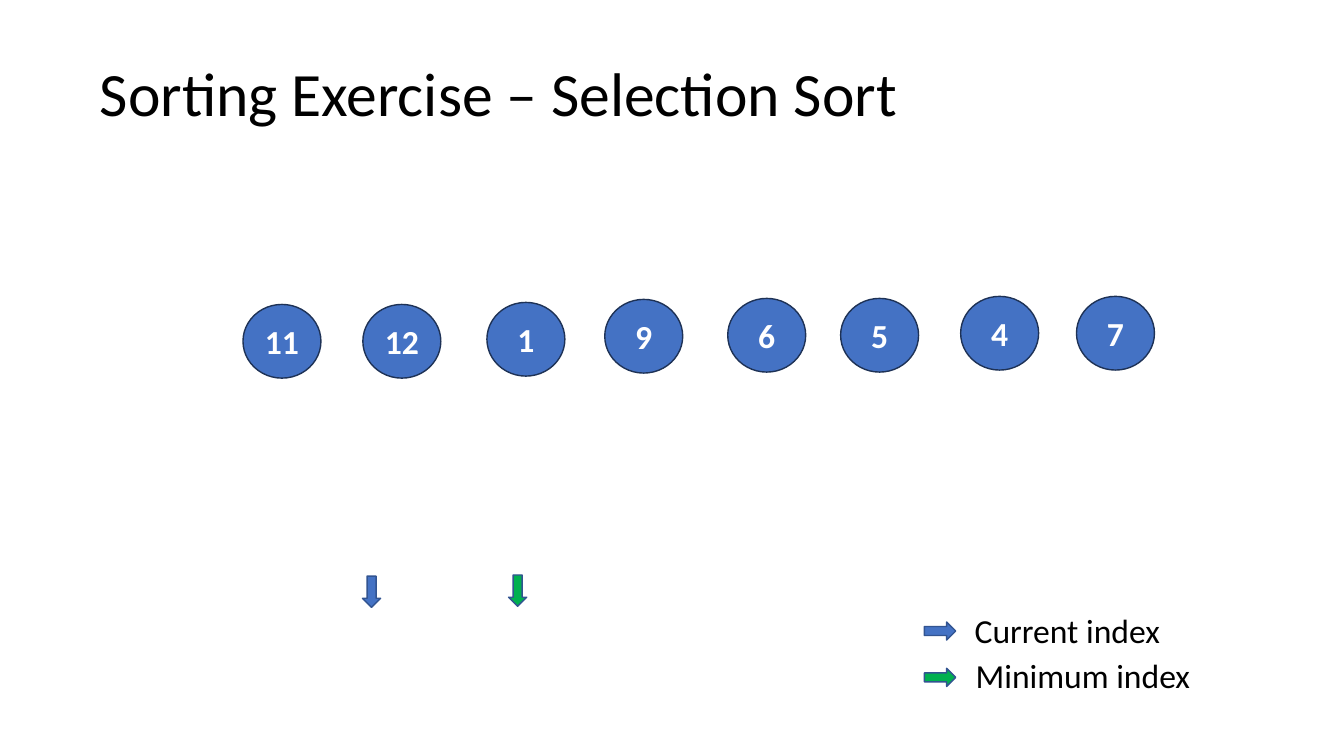
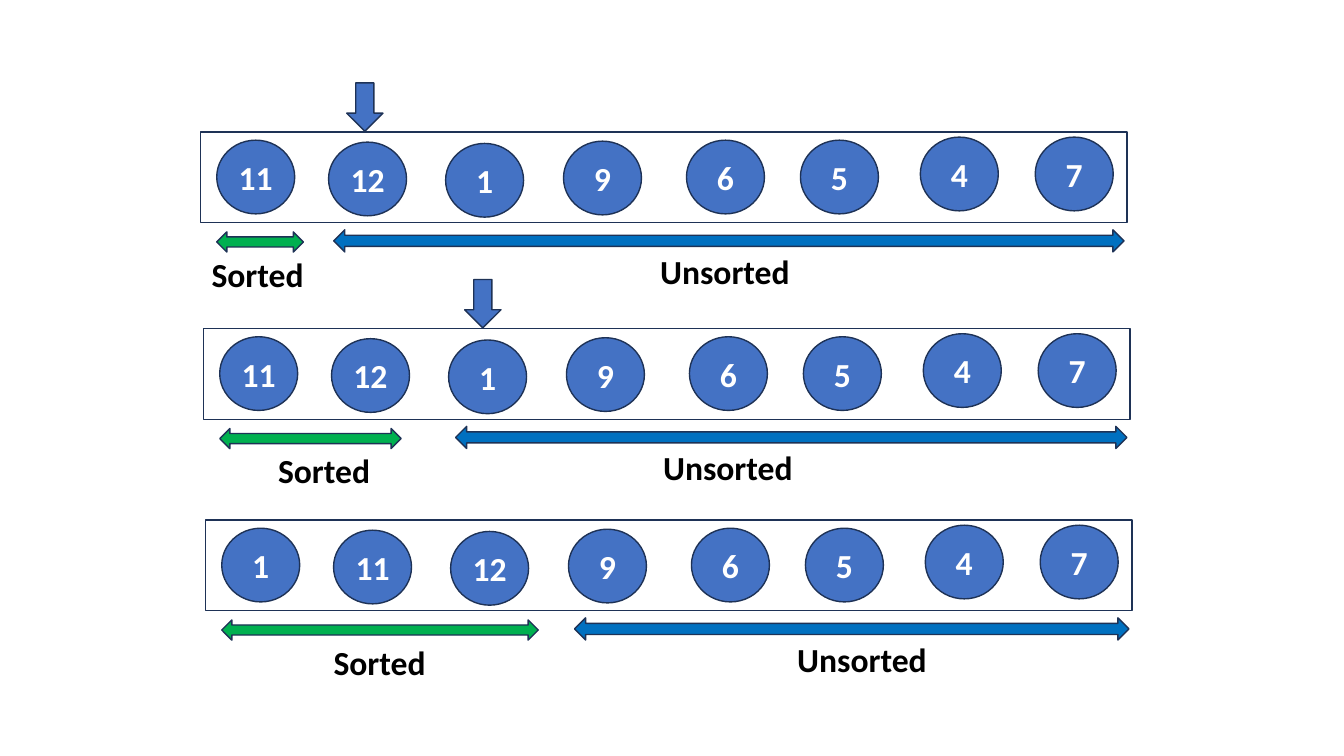
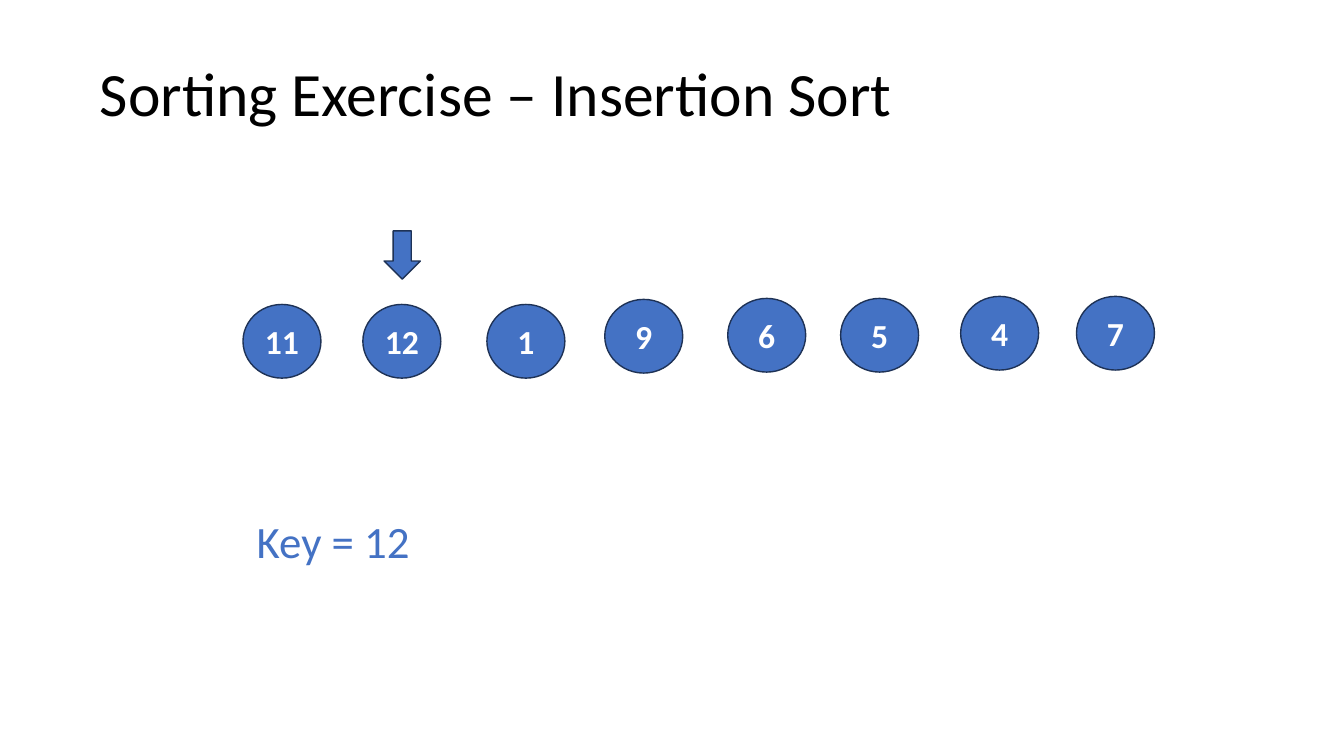
from pptx import Presentation
from pptx.dml.color import RGBColor
from pptx.enum.shapes import MSO_SHAPE
from pptx.enum.text import MSO_ANCHOR, MSO_AUTO_SIZE, PP_ALIGN
from pptx.util import Inches, Pt

FONT = "Calibri"
BLUE = RGBColor(0x44, 0x72, 0xC4)
DEEP = RGBColor(0x00, 0x70, 0xC0)
GREEN = RGBColor(0x00, 0xB0, 0x50)
NAVY = RGBColor(0x1E, 0x32, 0x56)
STEEL = RGBColor(0x32, 0x54, 0x91)
BLACK = RGBColor(0, 0, 0)
WHITE = RGBColor(255, 255, 255)

deck = Presentation()
deck.slide_width = Inches(13.33)
deck.slide_height = Inches(7.5)
COL = deck.slide_width / 100
ROW = deck.slide_height / 100


def draw(slide, kind, left, top, wide, high, fill=None, edge=NAVY):
    shape = slide.shapes.add_shape(
        kind, int(left * COL), int(top * ROW), int(wide * COL), int(high * ROW))
    shape.shadow.inherit = False
    if fill is None:
        shape.fill.background()
    else:
        shape.fill.solid()
        shape.fill.fore_color.rgb = fill
    shape.line.color.rgb = edge
    shape.line.width = Pt(1)
    return shape


def write(frame, text, size, color, bold=False, align=PP_ALIGN.LEFT):
    line = frame.paragraphs[0]
    line.alignment = align
    run = line.add_run()
    run.text = text
    run.font.name = FONT
    run.font.size = Pt(size)
    run.font.bold = bold
    run.font.color.rgb = color
    return line


titled, blank = deck.slide_layouts[5], deck.slide_layouts[6]
head = titled.placeholders[0]
head.left, head.top = int(6.68 * COL), int(7.73 * ROW)
head.width, head.height = int(86.25 * COL), int(19.33 * ROW)

select = deck.slides.add_slide(titled)
steps = deck.slides.add_slide(blank)
insert = deck.slides.add_slide(titled)

for slide, name in ((select, "Selection"), (insert, "Insertion")):
    frame = slide.shapes.title.text_frame
    frame.auto_size = MSO_AUTO_SIZE.NONE
    frame.vertical_anchor = MSO_ANCHOR.TOP
    line = write(frame, f"Sorting Exercise – {name} Sort", 44, BLACK)
    line.line_spacing = 0.9

START = [11, 12, 1, 9, 6, 5, 4, 7]
WIDE = [18.08, 27, 36.23, 45, 54.15, 62.55, 71.48, 80.1]
TIGHT = [1.2, 9.52, 18.23, 27, 36.15, 44.63, 53.55, 62.1]
DROPS = [1.07, 1.33, 1.5, 1.2, 1.07, 1.07, 0.67, 0.67]

rows = [
    (select, START, 0, 0, WIDE, [40.27, 40.27, 40, 39.6, 39.47, 39.47, 39.2, 39.2]),
    (insert, START, 0, 0, WIDE, [40.27, 40.27, 40.27, 39.6, 39.47, 39.47, 39.2, 39.2]),
]
notes = [
    (select, "Current index", 71.78, 80, 15.45, 6.67, 24, BLACK, False),
    (select, "Minimum index", 71.85, 86, 17.63, 6.67, 24, BLACK, False),
    (insert, "Key = 12", 18.3, 67.33, 12.98, 8.53, 32, BLUE, False),
]
marks = [(insert, 28.58, 30.53)]

passes = [
    (START, 14.93, 17.47, 6.45, 24.83, 15, 48.38, 25.8),
    (START, 15.15, 43.47, 13.5, 33.9, 19.95, 48.6, 34.58),
    ([1, 11, 12, 9, 6, 5, 4, 7], 15.3, 68.8, 23.55, 42.75, 24.08, 58.58, None),
]
for order, left, top, done, rest, near, far, mark in passes:
    rows.append((steps, order, left, top, TIGHT, DROPS))
    draw(steps, MSO_SHAPE.RECTANGLE, left, top, 68.93, 12)
    draw(steps, MSO_SHAPE.LEFT_RIGHT_ARROW, left + 1.2, top + 13.2, done, 2.67, GREEN)
    draw(steps, MSO_SHAPE.LEFT_RIGHT_ARROW, rest, top + 12.93,
         left + 68.7 - rest, 2.93, DEEP)
    notes.append((steps, "Sorted", near, top + 15.4, 8.48, 6.67, 24, BLACK, True))
    notes.append((steps, "Unsorted", far, top + 15, 11.25, 6.67, 24, BLACK, True))
    if mark:
        marks.append((steps, mark, top - 6.5))

for slide, order, left, top, across, down in rows:
    for value, x, y in zip(order, across, down):
        ball = draw(slide, MSO_SHAPE.OVAL, left + x, top + y, 5.8, 9.75, BLUE)
        frame = ball.text_frame
        frame.word_wrap = False
        frame.vertical_anchor = MSO_ANCHOR.MIDDLE
        write(frame, str(value), 24, WHITE, True, PP_ALIGN.CENTER)

for slide, left, top in marks:
    draw(slide, MSO_SHAPE.DOWN_ARROW, left, top, 2.7, 6.4, BLUE)

for left, top, turn, fill in (
        (68.78, 82.27, 0, BLUE), (68.78, 88.4, 0, GREEN),
        (26.48, 77.07, 90, BLUE), (37.35, 76.93, 90, GREEN)):
    arrow = draw(select, MSO_SHAPE.RIGHT_ARROW, left, top, 2.33, 2.4, fill, STEEL)
    arrow.rotation = turn

for slide, text, left, top, wide, high, size, color, bold in notes:
    box = slide.shapes.add_textbox(
        int(left * COL), int(top * ROW), int(wide * COL), int(high * ROW))
    frame = box.text_frame
    frame.word_wrap = False
    frame.auto_size = MSO_AUTO_SIZE.SHAPE_TO_FIT_TEXT
    align = PP_ALIGN.CENTER if slide is insert else PP_ALIGN.LEFT
    write(frame, text, size, color, bold, align)

deck.save("out.pptx")
